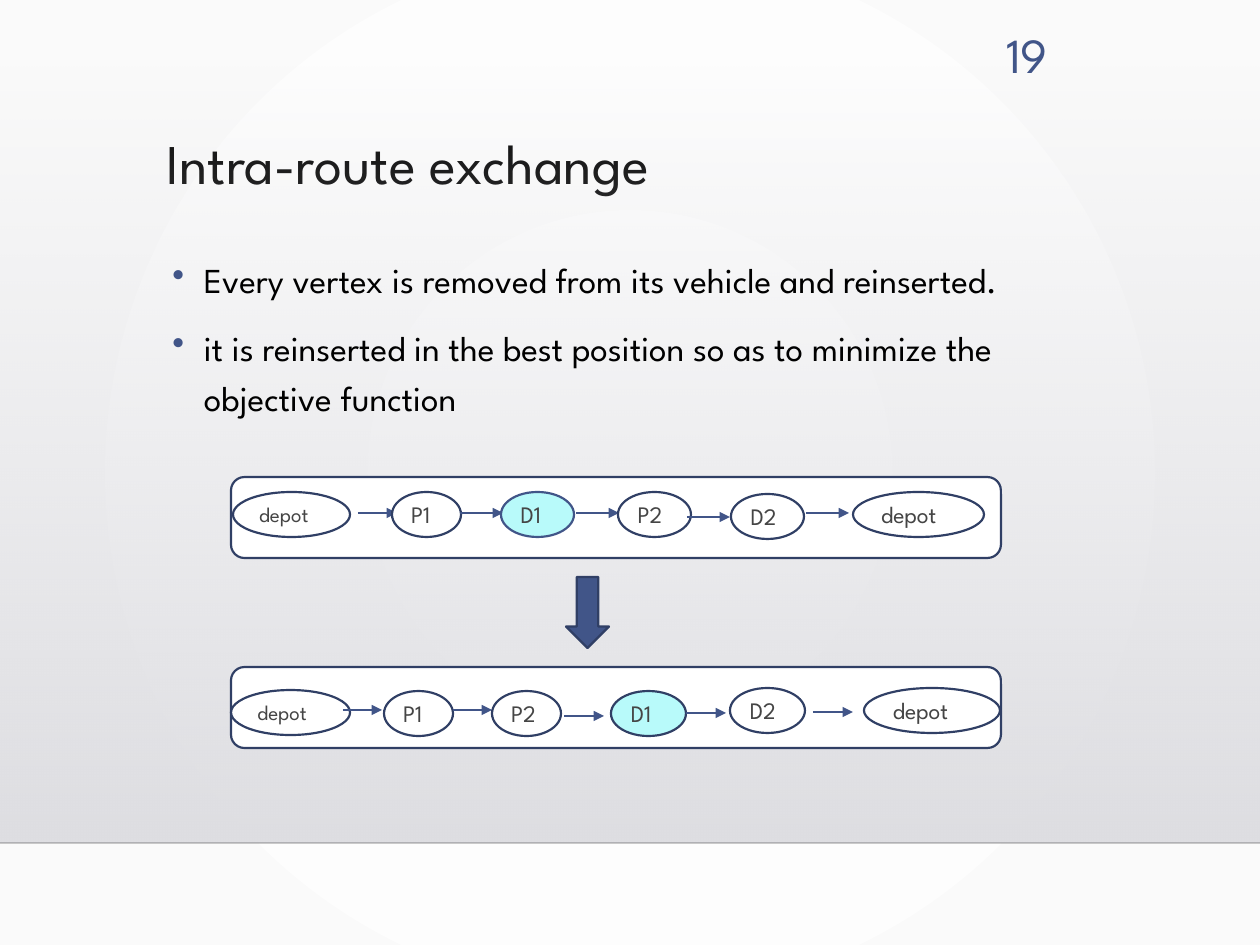
from dataclasses import dataclass

from lxml import etree
from pptx import Presentation
from pptx import util as u
from pptx.dml.color import RGBColor
from pptx.enum import shapes, text
from pptx.oxml.ns import qn


@dataclass(frozen=True)
class Theme:
    """Colours, font and type sizes of the slide."""
    font: str = "League Spartan"
    black: str = "000000"
    white: str = "FFFFFF"
    accent: str = "415588"
    outline: str = "303F65"
    label: str = "454545"
    moved: str = "B8FAFA"
    page: str = "FAFAFA"
    panel_top: str = "DEDEE2"
    panel_bottom: str = "DCDCE0"
    title_size: float = 32
    number_size: float = 28
    body_size: float = 20
    node_size: float = 13.5
    start_size: float = 12


@dataclass(frozen=True)
class Node:
    """One stop of a route, with its place in pixels."""
    name: str
    left: int
    top: int
    width: int
    size: float
    fill: str = Theme.white
    outline: str = Theme.outline


T = Theme()
NODE_HEIGHT = 45
BULLETS = [
    "Every vertex is removed from its vehicle and reinserted.",
    "it is reinserted in the best position so as to minimize the objective function",
]
# Each route: top of its frame, its nodes, its arrows as (start, end, y).
ROUTES = [
    (477,
     [Node("depot", 233, 492, 117, T.start_size),
      Node("P1", 392, 492, 69, T.node_size),
      Node("D1", 501, 492, 73, T.node_size, T.moved, T.accent),
      Node("P2", 618, 492, 73, T.node_size),
      Node("D2", 731, 494, 73, T.node_size),
      Node("depot", 853, 492, 131, T.node_size)],
     [(358, 397, 513), (460, 503, 513), (576, 619, 513),
      (687, 730, 517), (806, 849, 513)]),
    (667,
     [Node("depot", 231, 690, 119, T.start_size),
      Node("P1", 384, 691, 69, T.node_size),
      Node("P2", 492, 691, 69, T.node_size),
      Node("D1", 611, 691, 75, T.node_size, T.moved),
      Node("D2", 730, 688, 75, T.node_size),
      Node("depot", 864, 688, 136, T.node_size)],
     [(343, 382, 710), (453, 492, 710), (564, 604, 716),
      (686, 726, 713), (813, 853, 712)]),
]


def px(*lengths):
    """Turn pixels into a list of EMU lengths."""
    return [u.Emu(round(n * 914400 / 126)) for n in lengths]


def rgb(code):
    """Give the colour object for a hex code."""
    return RGBColor.from_string(code)


def set_font(p, size, color):
    """Set the font of a whole paragraph."""
    p.font.name = T.font
    p.font.size = u.Pt(size)
    p.font.color.rgb = rgb(color)


def set_alpha(color_parent, percent):
    """Set the opacity of the colour held by an element."""
    color = color_parent.find(qn("a:srgbClr"))
    etree.SubElement(color, qn("a:alpha"), val=str(percent * 1000))


def set_gradient(fill, *colors):
    """Give a fill a two-colour gradient running downwards."""
    fill.gradient()
    fill.gradient_angle = 270
    for stop, color in zip(fill.gradient_stops, colors):
        stop.color.rgb = rgb(color)


def set_background(s):
    """Paint the page with a gradient in circles about its centre."""
    set_gradient(s.background.fill, T.white, T.page)
    grad = s.element.xpath(".//p:bg//a:gradFill")[0]
    grad.remove(grad.find(qn("a:lin")))
    circle = etree.SubElement(grad, qn("a:path"), path="circle")
    etree.SubElement(circle, qn("a:fillToRect"),
                     l="50000", t="50000", r="50000", b="50000")


def add_line(s, x1, y1, x2, y2, color, width):
    """Add a straight line without a shadow."""
    line = s.shapes.add_connector(shapes.MSO_CONNECTOR.STRAIGHT, *px(x1, y1, x2, y2))
    line.line.color.rgb = rgb(color)
    line.line.width = u.Pt(width)
    etree.SubElement(line.element.spPr, qn("a:effectLst"))
    return line


def add_arrow(s, x1, x2, y):
    """Add a level arrow between two nodes."""
    arrow = add_line(s, x1, y, x2, y, T.accent, 0.75)
    etree.SubElement(arrow.line._get_or_add_ln(), qn("a:tailEnd"), type="triangle")


def add_box(s, kind, box, fill, outline=T.outline):
    """Add a filled and outlined preset shape."""
    sp = s.shapes.add_shape(kind, *px(*box))
    sp.shadow.inherit = False
    sp.fill.solid()
    sp.fill.fore_color.rgb = rgb(fill)
    sp.line.color.rgb = rgb(outline)
    sp.line.width = u.Pt(1.25)
    return sp


def add_panel(s):
    """Add the shaded panel that fades in downwards, and its lower edge."""
    panel = s.shapes.add_shape(shapes.MSO_SHAPE.RECTANGLE, *px(0, 64, 1260, 779))
    panel.shadow.inherit = False
    panel.line.fill.background()
    set_gradient(panel.fill, T.panel_top, T.panel_bottom)
    for stop, percent in zip(panel.element.spPr.iter(qn("a:gs")), (0, 100)):
        set_alpha(stop, percent)
    edge = add_line(s, 0, 843, 1260, 843, T.black, 1)
    set_alpha(edge.line._get_or_add_ln().find(qn("a:solidFill")), 20)


def add_title(s, words):
    """Place and format the title placeholder."""
    title = s.shapes.title
    title.left, title.top, title.width, title.height = px(154, 130, 906, 145)
    tf = title.text_frame
    tf.text = words
    tf.auto_size = text.MSO_AUTO_SIZE.NONE
    tf.vertical_anchor = text.MSO_ANCHOR.TOP
    p = tf.paragraphs[0]
    p.alignment = text.PP_ALIGN.LEFT
    p.line_spacing = 0.9
    set_font(p, T.title_size, T.black)


def add_text(s, box, lines, size, color):
    """Add a wrapping text box and give back its paragraphs."""
    tf = s.shapes.add_textbox(*px(*box)).text_frame
    tf.word_wrap = True
    tf.text = "\n".join(lines)
    for p in tf.paragraphs:
        set_font(p, size, color)
    return tf.paragraphs


def set_bullet(p):
    """Give a paragraph a coloured bullet and a hanging indent."""
    p.line_spacing = 1.2
    p.space_before = u.Pt(10)
    pPr = p._p.get_or_add_pPr()
    pPr.set("marL", str(u.Inches(0.25)))
    pPr.set("indent", str(-u.Inches(0.25)))
    color = etree.Element(qn("a:buClr"))
    etree.SubElement(color, qn("a:srgbClr"), val=T.accent)
    char = etree.Element(qn("a:buChar"), char="•")
    pPr.find(qn("a:spcBef")).addnext(color)
    color.addnext(char)


def add_node(s, node):
    """Add a labelled ellipse for one stop."""
    box = (node.left, node.top, node.width, NODE_HEIGHT)
    sp = add_box(s, shapes.MSO_SHAPE.OVAL, box, node.fill, node.outline)
    tf = sp.text_frame
    tf.text = node.name
    tf.vertical_anchor = text.MSO_ANCHOR.MIDDLE
    tf.margin_left, tf.margin_right, tf.margin_top, tf.margin_bottom = px(9, 9, 5, 5)
    p = tf.paragraphs[0]
    p.alignment = text.PP_ALIGN.LEFT
    set_font(p, node.size, T.label)


def add_route(s, top, nodes, arrows):
    """Add a framed route, each node followed by its arrow."""
    add_box(s, shapes.MSO_SHAPE.ROUNDED_RECTANGLE, (231, top, 770, 81), T.white)
    for i, node in enumerate(nodes):
        add_node(s, node)
        if i < len(arrows):
            add_arrow(s, *arrows[i])


def main():
    """Build the slide and save it."""
    prs = Presentation()
    prs.slide_width, prs.slide_height = px(1260, 945)
    s = prs.slides.add_slide(prs.slide_layouts[5])
    set_background(s)
    add_panel(s)
    add_title(s, "Intra-route exchange")
    for p in add_text(s, (160, 244, 906, 454), BULLETS, T.body_size, T.black):
        set_bullet(p)
    number = add_text(s, (950, 18, 110, 69), ["19"], T.number_size, T.accent)
    number[0].alignment = text.PP_ALIGN.RIGHT
    for route in ROUTES:
        add_route(s, *route)
    add_box(s, shapes.MSO_SHAPE.DOWN_ARROW, (566, 577, 43, 71), T.accent)
    prs.save("out.pptx")


main()
